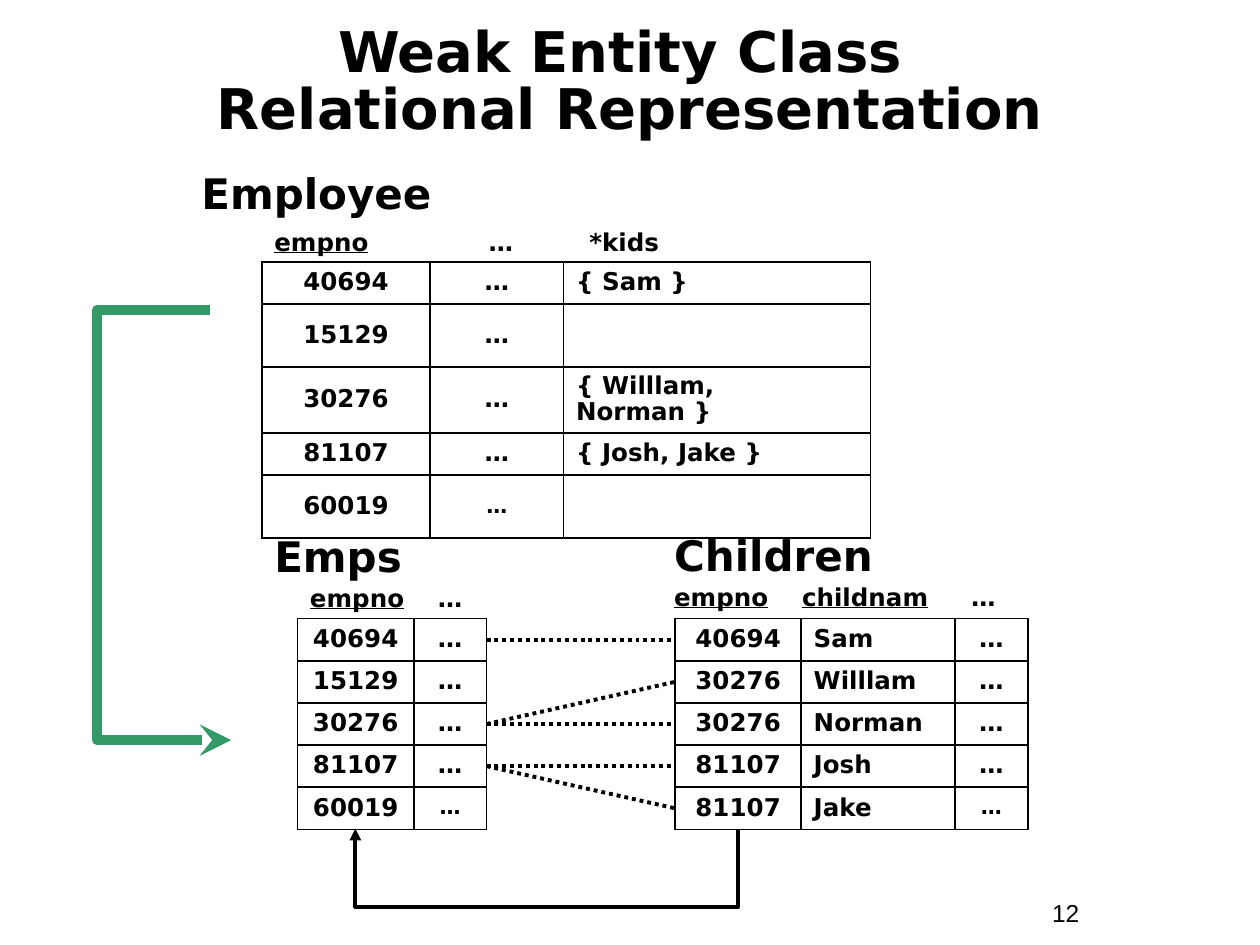
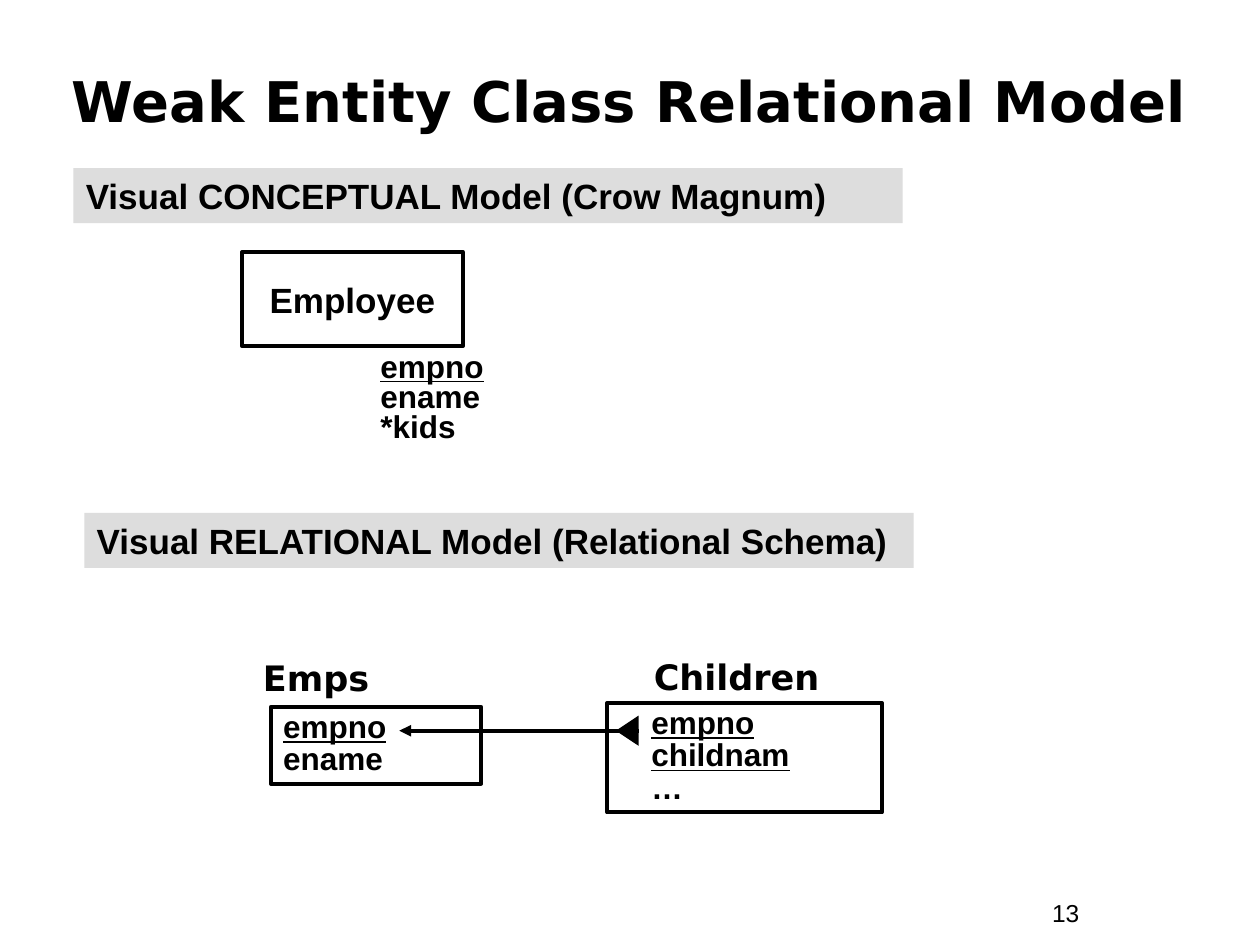
from pptx import Presentation
from pptx.dml.color import RGBColor as Rgb
from pptx.enum.dml import MSO_LINE as Dash
from pptx.enum.shapes import MSO_CONNECTOR as Link, MSO_SHAPE as Form
from pptx.enum.text import MSO_ANCHOR as Anchor, PP_ALIGN as Align
from pptx.oxml.ns import qn
from pptx.util import Cm, Pt
from lxml.etree import SubElement as Sub, Element

HUES = {"ink": "000000", "band": "DDDDDD", "green": "339966"}
SANS, ARIAL = "DejaVu Sans", "Arial"
DOTS = "…"

TITLES = [
    ("Weak Entity Class \vRelational Representation", (0.64, 0.84, 24.13, 1.7), 0.85),
    ("Weak Entity Class Relational Model", (0.84, 0.84, 23.7, 2.34), 1),
]
FIRST = 12

EMPNOS = ["40694", "15129", "30276", "81107", "60019"]
KIDS = ["{ Sam }", "", "{ Willlam, Norman }", "{ Josh, Jake }", ""]
CHILDREN = [("40694", "Sam"), ("30276", "Willlam"), ("30276", "Norman"),
            ("81107", "Josh"), ("81107", "Jake")]
ROW, TALL = 0.85, 1.27
GRIDS = [
    {"at": (5.28, 5.28), "cols": (3.39, 2.69, 6.19),
     "rows": [(n, DOTS, k) for n, k in zip(EMPNOS, KIDS)]},
    {"at": (6, 12.47), "cols": (2.34, 1.47),
     "rows": [(n, DOTS) for n in EMPNOS]},
    {"at": (13.61, 12.47), "cols": (2.54, 3.1, 1.47),
     "rows": [(n, c, DOTS) for n, c in CHILDREN]},
]
HEADS = [
    ("Employee", (3.81, 3.25, 5.72, 1.27)),
    ("Emps", (5.28, 10.57, 3.81, 1.27)),
    ("Children", (13.34, 10.54, 5.28, 1.27)),
]
FIELDS = [
    (("_empno", "\t…\t*kids"), (5.28, 4.45, 11.43, 0.86), (4.32, 6.35)),
    (("_empno", "\t…"), (6, 11.63, 5.08, 0.86), (2.58,)),
    (("_empno", "\t", "_childnam", "\t…"), (13.34, 11.6, 8.26, 0.86), (2.58, 5.99)),
]
PAIRS = [(0, 0), (2, 1), (2, 2), (3, 3), (3, 4)]

BANDS = [
    ("Visual CONCEPTUAL Model (Crow Magnum)", (1.48, 3.39, 16.72, 1.11)),
    ("Visual RELATIONAL Model (Relational Schema)", (1.7, 10.34, 16.72, 1.11)),
]
NAMES = [
    ("Emps", (5.05, 13.11, 5.46, 1.11)),
    ("Children", (12.93, 13.08, 4.45, 1.11)),
]
BOXES = [
    (["_empno", "_childnam", DOTS], (12.24, 14.17, 5.54, 2.21), 0.89),
    (["_empno", "ename"], (5.46, 14.25, 4.24, 1.55), 0.25),
]
KEYS = ["_empno", "ename", "*kids"]


def hue(name):
    return Rgb.from_string(HUES[name])


def style(run, size, font, bold=True):
    run.font.size, run.font.name, run.font.bold = Pt(size), font, bold
    run.font.color.rgb = hue("ink")


def write(shape, lines, size, font=SANS, bold=True, gap=1, tabs=(),
          align=Align.LEFT, anchor=Anchor.TOP, left=0.25):
    frame = shape.text_frame
    frame.word_wrap = True
    frame.vertical_anchor = anchor
    frame.margin_left = Cm(left)
    for i, line in enumerate(lines):
        para = frame.add_paragraph() if i else frame.paragraphs[0]
        para.alignment, para.line_spacing = align, gap
        if tabs:
            stops = Sub(para._p.get_or_add_pPr(), qn("a:tabLst"))
            for pos in tabs:
                Sub(stops, qn("a:tab"), pos=str(Cm(pos)), algn="l")
        if isinstance(line, str):
            para.text = line.removeprefix("_")
            para.runs[0].font.underline = line.startswith("_")
        else:
            for part in line:
                run = para.add_run()
                run.text = part.removeprefix("_")
                run.font.underline = part.startswith("_")
        for run in para.runs:
            style(run, size, font, bold)


def label(slide, text, at, size, **look):
    box = slide.shapes.add_textbox(*map(Cm, at))
    write(box, text if isinstance(text, list) else [text], size, **look)


def block(slide, at, form=Form.RECTANGLE, fill=None, edge=True):
    shape = slide.shapes.add_shape(form, *map(Cm, at))
    shape.shadow.inherit = False
    if fill:
        shape.fill.solid()
        shape.fill.fore_color.rgb = hue(fill)
    else:
        shape.fill.background()
    if edge:
        shape.line.color.rgb, shape.line.width = hue("ink"), Pt(2.25)
    else:
        shape.line.fill.background()
    return shape


def link(slide, ends, kind=Link.STRAIGHT, color="ink", width=2.25,
         dash=None, tip=None, turn=0, bend=None):
    wire = slide.shapes.add_connector(kind, *map(Cm, ends))
    wire.line.color.rgb, wire.line.width = hue(color), Pt(width)
    if dash:
        wire.line.dash_style = dash
    props = wire._element.spPr
    if tip:
        end, mark = tip
        Sub(wire.line._get_or_add_ln(), qn("a:" + end), type=mark)
    if turn:
        props.find(qn("a:xfrm")).set("rot", str(turn * 60000))
    if bend is not None:
        guides = props.find(qn("a:prstGeom")).find(qn("a:avLst"))
        Sub(guides, qn("a:gd"), name="adj1", fmla=f"val {round(bend * 100000)}")
    Sub(props, qn("a:effectLst"))


def border(cell):
    props = cell._tc.get_or_add_tcPr()
    for i, side in enumerate(("lnL", "lnR", "lnT", "lnB")):
        line = Element(qn("a:" + side), w=str(Pt(1.08)))
        paint = Sub(line, qn("a:solidFill"))
        Sub(paint, qn("a:srgbClr"), val=HUES["ink"])
        props.insert(i, line)


def grid(slide, at, cols, rows):
    highs = [ROW if all(row) else TALL for row in rows]
    size = (sum(cols), sum(highs))
    table = slide.shapes.add_table(len(rows), len(cols), *map(Cm, at + size)).table
    table.first_row = table.horz_banding = False
    for col, wide in zip(table.columns, cols):
        col.width = Cm(wide)
    for r, row in enumerate(rows):
        table.rows[r].height = Cm(highs[r])
        for c, text in enumerate(row):
            cell = table.cell(r, c)
            cell.fill.background()
            border(cell)
            cell.vertical_anchor = Anchor.MIDDLE
            if not text:
                continue
            para = cell.text_frame.paragraphs[0]
            para.text, para.line_spacing = text, 0.9
            mid = text == DOTS or text.isdigit()
            para.alignment = Align.CENTER if mid else Align.LEFT
            last = r == len(rows) - 1 and text == DOTS
            style(para.runs[0], 12 if last else 14, SANS)


def tables(slide):
    for item in GRIDS:
        grid(slide, **item)
    for text, at in HEADS:
        label(slide, text, at, 24)
    for parts, at, tabs in FIELDS:
        label(slide, [parts], at, 14, tabs=tabs)
    emps, kids = GRIDS[1:]
    x1, x2 = emps["at"][0] + sum(emps["cols"]), kids["at"][0]
    for a, b in PAIRS:
        y1, y2 = (emps["at"][1] + ROW * (n + 0.5) for n in (a, b))
        link(slide, (x1, y1, x2, y2), dash=Dash.ROUND_DOT)
    link(slide, (11.03, 12.85, 11.02, 20.57), Link.ELBOW,
         tip=("headEnd", "triangle"), turn=270, bend=157.5)
    link(slide, (4.24, 6.25, 4.66, 14.92), Link.ELBOW, "green", 6,
         tip=("tailEnd", "stealth"), bend=-5.43)


def models(slide):
    for text, at in BANDS:
        write(block(slide, at, fill="band", edge=False), [text], 20, ARIAL)
    write(block(slide, (4.88, 5.08, 4.45, 1.9)), ["Employee"], 20, ARIAL,
          align=Align.CENTER, anchor=Anchor.MIDDLE)
    label(slide, KEYS, (7.42, 7.01, 3.61, 2.08), 18, font=ARIAL, gap=0.8)
    for text, at in NAMES:
        label(slide, text, at, 20)
    for lines, at, left in BOXES:
        write(block(slide, at), lines, 18, ARIAL, gap=0.85, left=left)
    link(slide, (12.88, 14.73, 8.05, 14.73), tip=("tailEnd", "triangle"))
    foot = block(slide, (12.34, 14.5, 0.61, 0.46), Form.ISOSCELES_TRIANGLE,
                 "ink", False)
    foot.rotation = 270


def main():
    deck = Presentation()
    deck.slide_width, deck.slide_height = Cm(25.4), Cm(19.05)
    for i, (fill, (title, at, gap)) in enumerate(zip((tables, models), TITLES)):
        slide = deck.slides.add_slide(deck.slide_layouts[6])
        label(slide, title, at, 32, gap=gap, align=Align.CENTER,
              anchor=Anchor.MIDDLE)
        label(slide, str(FIRST + i), (20.96, 17.98, 2.34, 0.86), 14,
              font=ARIAL, bold=False)
        fill(slide)
    deck.save("out.pptx")


if __name__ == "__main__":
    main()
